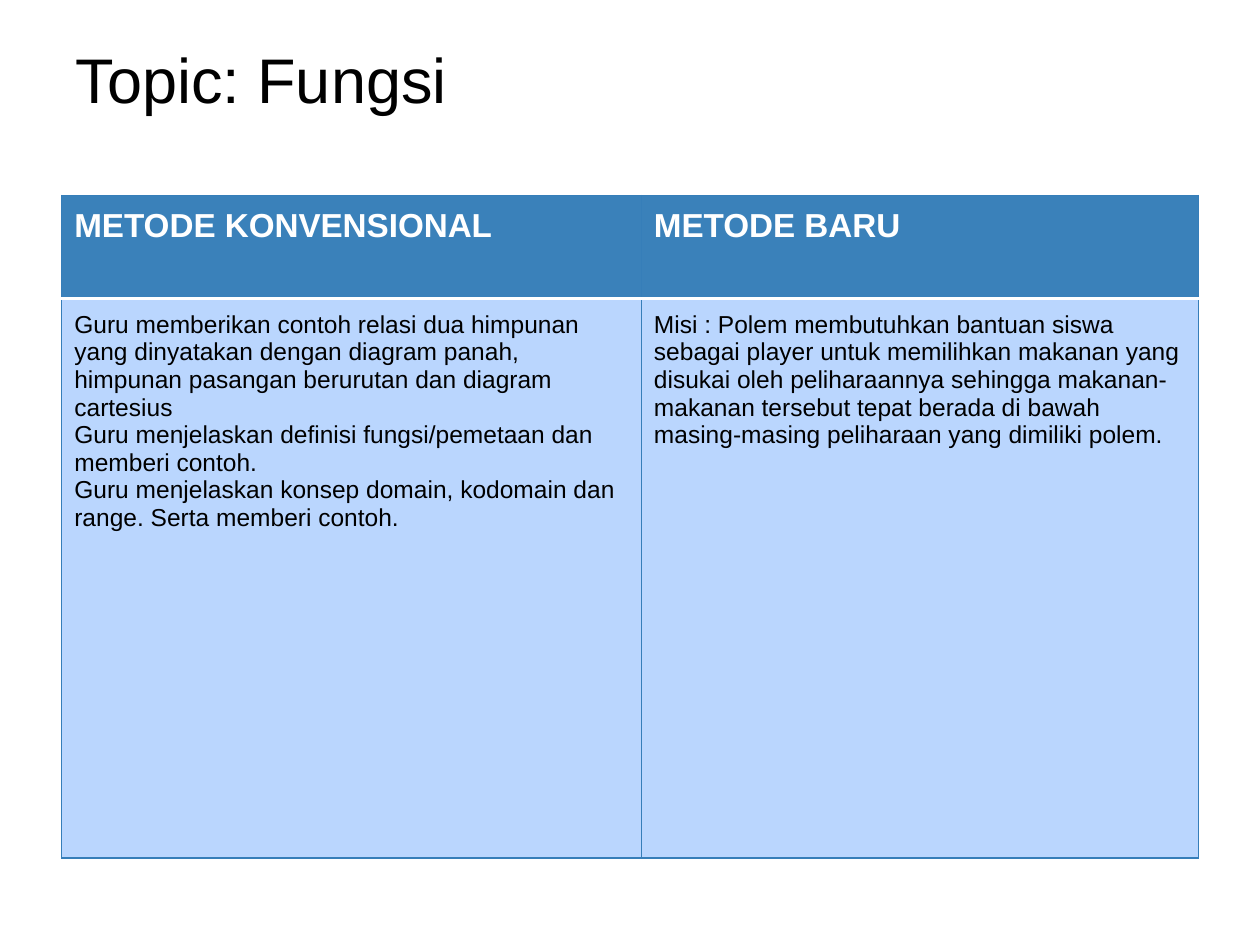
from lxml import etree
from pptx import Presentation
from pptx.dml.color import RGBColor
from pptx.enum.text import MSO_ANCHOR, MSO_AUTO_SIZE, PP_ALIGN
from pptx.oxml.ns import qn
from pptx.util import Inches, Pt

TITLE = "Topic: Fungsi"
METHODS = [
    ("METODE KONVENSIONAL", [
        "Guru memberikan contoh relasi dua himpunan yang dinyatakan dengan "
        "diagram panah, himpunan pasangan berurutan dan diagram cartesius",
        "Guru menjelaskan definisi fungsi/pemetaan dan memberi contoh.",
        "Guru menjelaskan konsep domain, kodomain dan range. Serta memberi contoh.",
    ]),
    ("METODE BARU", [
        "Misi : Polem membutuhkan bantuan siswa sebagai player untuk memilihkan "
        "makanan yang disukai oleh peliharaannya sehingga makanan-makanan tersebut "
        "tepat berada di bawah masing-masing peliharaan yang dimiliki polem.",
    ]),
]
FONT = "Arial"
BLACK, WHITE = "000000", "FFFFFF"
HEADER_FILL, BODY_FILL, GRID = "3A81BA", "BAD6FE", "367EB9"
COLUMN_WIDTHS = (4.6, 4.42)
ROW_HEIGHTS = (0.82, 4.44)
TABLE_LEFT, TABLE_TOP = 0.49, 1.55
THIN, RULE = (GRID, 0.75), (WHITE, 2)


def rgb(value):
    return RGBColor.from_string(value)


def write(frame, paragraphs, size, color, bold=False):
    for i, text in enumerate(paragraphs):
        paragraph = frame.paragraphs[0] if i == 0 else frame.add_paragraph()
        paragraph.alignment = PP_ALIGN.LEFT
        run = paragraph.add_run()
        run.text = text
        run.font.name = FONT
        run.font.size = Pt(size)
        run.font.bold = bold
        run.font.color.rgb = rgb(color)


def set_borders(cell, top, bottom):
    properties = cell._tc.get_or_add_tcPr()
    sides = {"lnL": THIN, "lnR": THIN, "lnT": top, "lnB": bottom}
    for side, (color, width) in sides.items():
        line = etree.SubElement(properties, qn("a:" + side), w=str(Pt(width)))
        fill = etree.SubElement(line, qn("a:solidFill"))
        etree.SubElement(fill, qn("a:srgbClr"), val=color)


def fill_cell(cell, paragraphs, size, color, bold, fill, top, bottom):
    cell.margin_left = cell.margin_right = Inches(0.1)
    cell.margin_top = cell.margin_bottom = Inches(0.1)
    set_borders(cell, top, bottom)
    cell.fill.solid()
    cell.fill.fore_color.rgb = rgb(fill)
    write(cell.text_frame, paragraphs, size, color, bold)


def add_title(slide):
    title = slide.shapes.title
    title.left, title.top = Inches(0.5), Inches(0.3)
    title.width, title.height = Inches(9), Inches(1.25)
    frame = title.text_frame
    frame.auto_size = MSO_AUTO_SIZE.NONE
    frame.vertical_anchor = MSO_ANCHOR.TOP
    frame.margin_top = Inches(0.02)
    write(frame, [TITLE], 36, BLACK)


def add_comparison(slide):
    table = slide.shapes.add_table(
        len(ROW_HEIGHTS), len(METHODS), Inches(TABLE_LEFT), Inches(TABLE_TOP),
        Inches(sum(COLUMN_WIDTHS)), Inches(sum(ROW_HEIGHTS))).table
    table.horz_banding = False
    for row, height in zip(table.rows, ROW_HEIGHTS):
        row.height = Inches(height)
    for c, (method, steps) in enumerate(METHODS):
        table.columns[c].width = Inches(COLUMN_WIDTHS[c])
        fill_cell(table.cell(0, c), [method], 19, WHITE, True, HEADER_FILL, THIN, RULE)
        fill_cell(table.cell(1, c), steps, 14, BLACK, False, BODY_FILL, RULE, THIN)


def main():
    presentation = Presentation()
    presentation.slide_width = Inches(10)
    presentation.slide_height = Inches(7.5)
    slide = presentation.slides.add_slide(presentation.slide_layouts[5])
    add_title(slide)
    add_comparison(slide)
    presentation.save("out.pptx")


if __name__ == "__main__":
    main()
